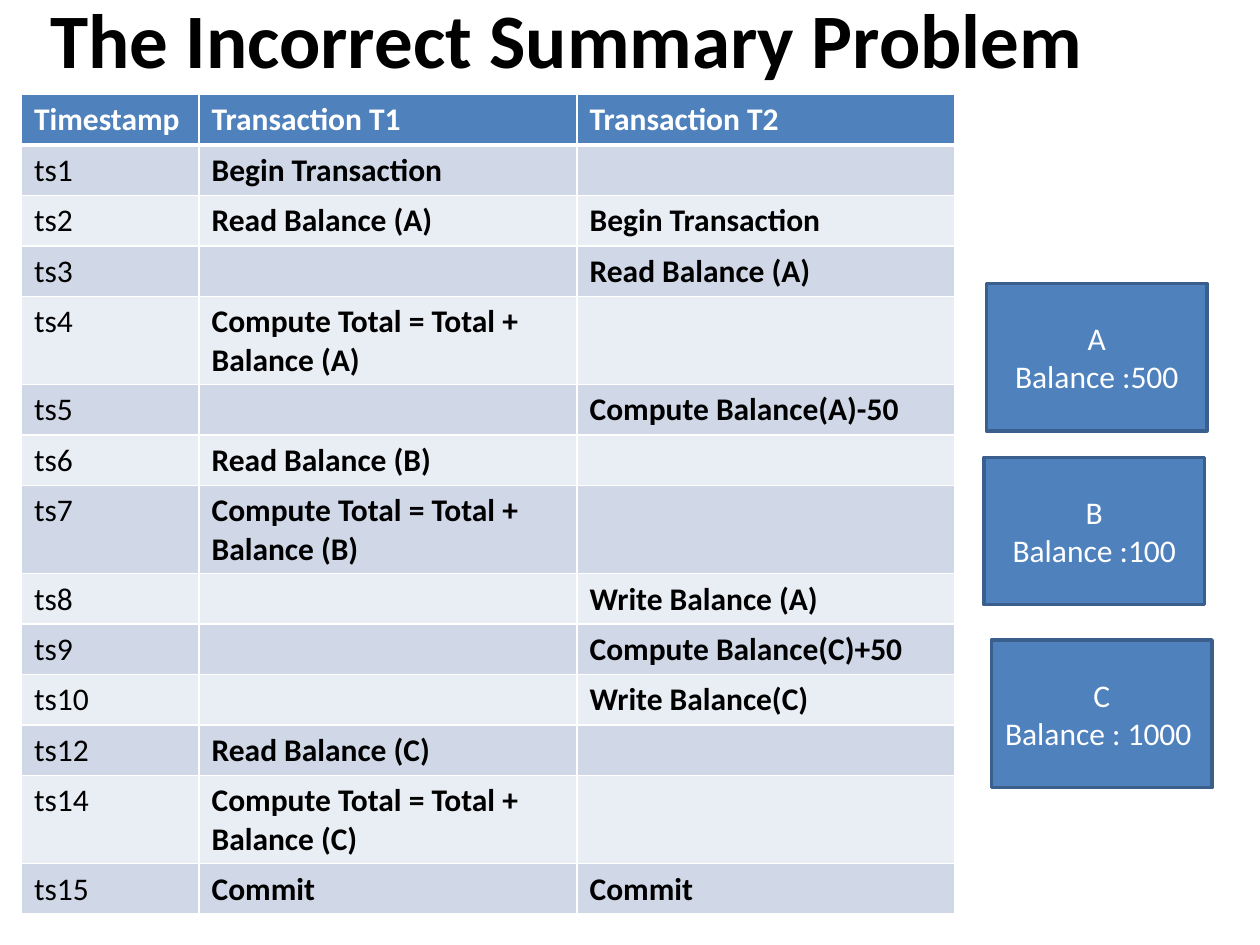
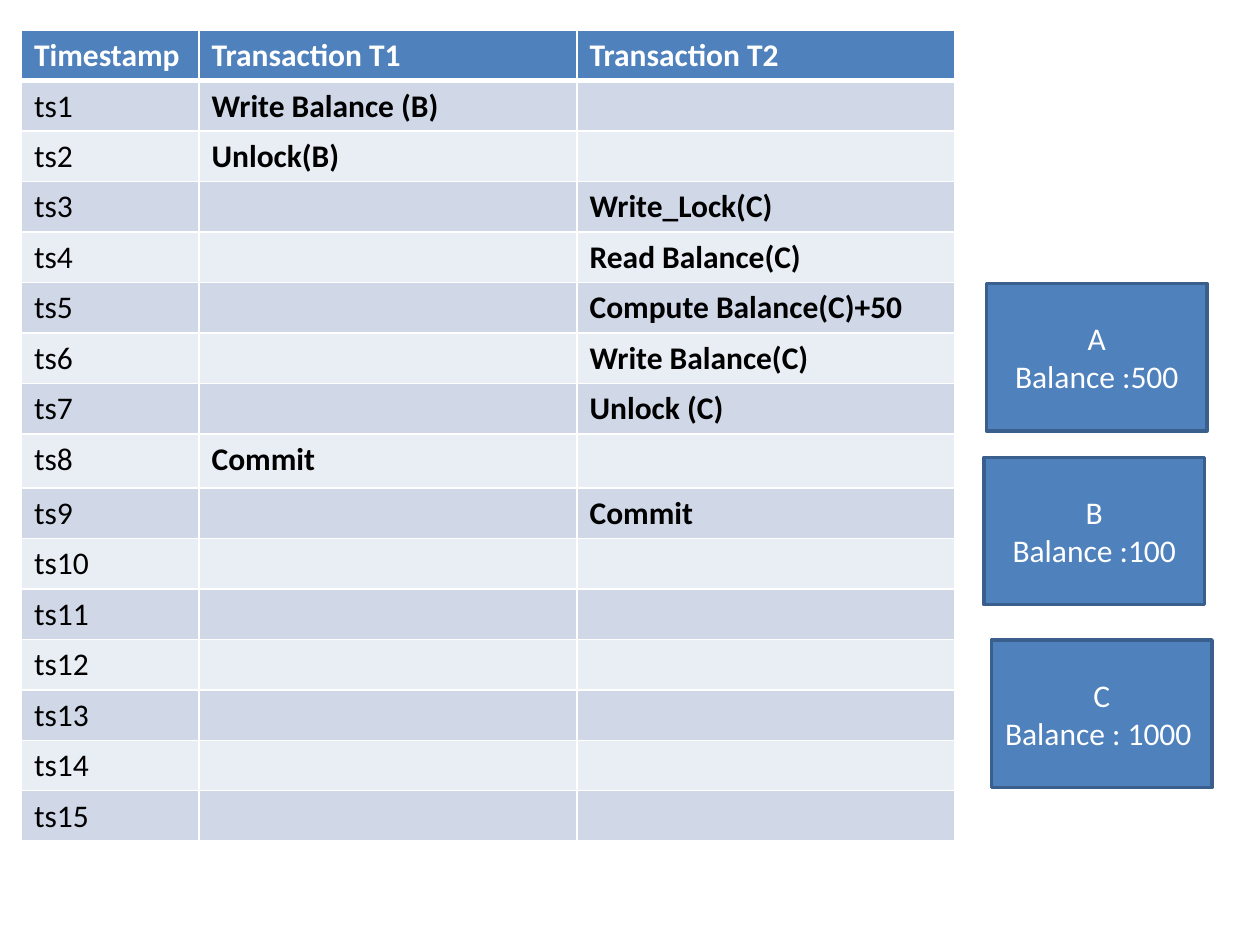
from lxml import etree
from pptx import Presentation
from pptx.dml.color import RGBColor
from pptx.enum.shapes import MSO_SHAPE
from pptx.enum.text import MSO_ANCHOR, PP_ALIGN
from pptx.oxml.ns import qn
from pptx.util import Inches, Pt

RECTANGLE = MSO_SHAPE.RECTANGLE
MIDDLE = MSO_ANCHOR.MIDDLE
CENTER = PP_ALIGN.CENTER

FONT = "Calibri"
BLUE, DARK_BLUE = "4F81BD", "3A5F8C"
BANDS = ["E9EDF4", "D0D8E8"]
WHITE, BLACK = "FFFFFF", "000000"

COLUMN_WIDTHS = [1.41, 3, 3]
ROW_HEIGHT = 0.4  # rows grow to fit their text
HEADERS = ["Timestamp", "Transaction T1", "Transaction T2"]

ACCOUNTS = [
    ("A", "Balance :500", 7.83, 2.25),
    ("B", "Balance :100", 7.81, 3.63),
    ("C", "Balance : 1000 ", 7.87, 5.08),
]

SUMMARY_STEPS = [
    ("ts1", "Begin Transaction", ""),
    ("ts2", "Read Balance (A)", "Begin Transaction"),
    ("ts3", "", "Read Balance (A)"),
    ("ts4", "Compute Total = Total + Balance (A)", ""),
    ("ts5", "", "Compute Balance(A)-50"),
    ("ts6", "Read Balance (B)", ""),
    ("ts7", "Compute Total = Total + Balance (B)", ""),
    ("ts8", "", "Write Balance (A)"),
    ("ts9", "", "Compute Balance(C)+50"),
    ("ts10", "", "Write Balance(C)"),
    ("ts12", "Read Balance (C)", ""),
    ("ts14", "Compute Total = Total + Balance (C)", ""),
    ("ts15", "Commit", "Commit"),
]

LOCKING_STEPS = [
    ("ts1", "Write Balance (B)", ""),
    ("ts2", "Unlock(B)", ""),
    ("ts3", "", "Write_Lock(C)"),
    ("ts4", "", "Read Balance(C)"),
    ("ts5", "", "Compute Balance(C)+50"),
    ("ts6", "", "Write Balance(C)"),
    ("ts7", "", "Unlock (C)"),
    ("ts8", "Commit", ""),
    ("ts9", "", "Commit"),
] + [(f"ts{number}", "", "") for number in range(10, 16)]

# title, table top, steps, heights of the rows that differ
SCHEDULES = [
    ("The Incorrect Summary Problem", 0.75, SUMMARY_STEPS, {}),
    ("", 0.24, LOCKING_STEPS, {8: 0.43}),
]


def color(value):
    return RGBColor.from_string(value)


def add_span(para, text, size, ink, bold=False):
    """Add one run of text to a paragraph."""
    span = para.add_run()
    span.text = text
    span.font.name = FONT
    span.font.size = Pt(size)
    span.font.bold = bold
    span.font.color.rgb = color(ink)


deck = Presentation()
deck.slide_width = Inches(10)
deck.slide_height = Inches(7.5)

for title, table_top, steps, special_heights in SCHEDULES:
    page = deck.slides.add_slide(deck.slide_layouts[6])

    if title:
        box = page.shapes.add_textbox(Inches(0), Inches(-0.33), Inches(9), Inches(1.25))
        box.text_frame.word_wrap = True
        box.text_frame.vertical_anchor = MIDDLE
        para = box.text_frame.paragraphs[0]
        para.alignment = CENTER
        add_span(para, title, 44, BLACK, bold=True)

    for account, balance, left, top in ACCOUNTS:
        box = page.shapes.add_shape(
            RECTANGLE, Inches(left), Inches(top), Inches(1.75), Inches(1.17))
        box.shadow.inherit = False
        box.fill.solid()
        box.fill.fore_color.rgb = color(BLUE)
        box.line.color.rgb = color(DARK_BLUE)
        box.line.width = Pt(2)
        frame = box.text_frame
        frame.word_wrap = True
        frame.vertical_anchor = MIDDLE
        for para, text in [(frame.paragraphs[0], account), (frame.add_paragraph(), balance)]:
            para.alignment = CENTER
            add_span(para, text, 18, WHITE)

    rows = [HEADERS] + steps
    table = page.shapes.add_table(
        len(rows), len(HEADERS), Inches(0.17), Inches(table_top),
        Inches(sum(COLUMN_WIDTHS)), Inches(ROW_HEIGHT * len(rows))).table
    for column, width in zip(table.columns, COLUMN_WIDTHS):
        column.width = Inches(width)

    for row_index, texts in enumerate(rows):
        table.rows[row_index].height = Inches(special_heights.get(row_index, ROW_HEIGHT))
        is_header = row_index == 0
        for column_index, text in enumerate(texts):
            cell = table.cell(row_index, column_index)
            # Borders must come before the fill in the cell properties
            properties = cell._tc.get_or_add_tcPr()
            for side in ["L", "R", "T", "B"]:
                thick = (row_index, side) in [(0, "B"), (1, "T")]
                border = etree.SubElement(
                    properties, qn(f"a:ln{side}"), w=str(Pt(3 if thick else 1)))
                paint = etree.SubElement(border, qn("a:solidFill"))
                etree.SubElement(paint, qn("a:srgbClr"), val=WHITE)
            cell.fill.solid()
            cell.fill.fore_color.rgb = color(BLUE if is_header else BANDS[row_index % 2])
            if text:
                add_span(cell.text_frame.paragraphs[0], text, 18,
                         WHITE if is_header else BLACK,
                         bold=is_header or column_index > 0)

deck.save("out.pptx")
